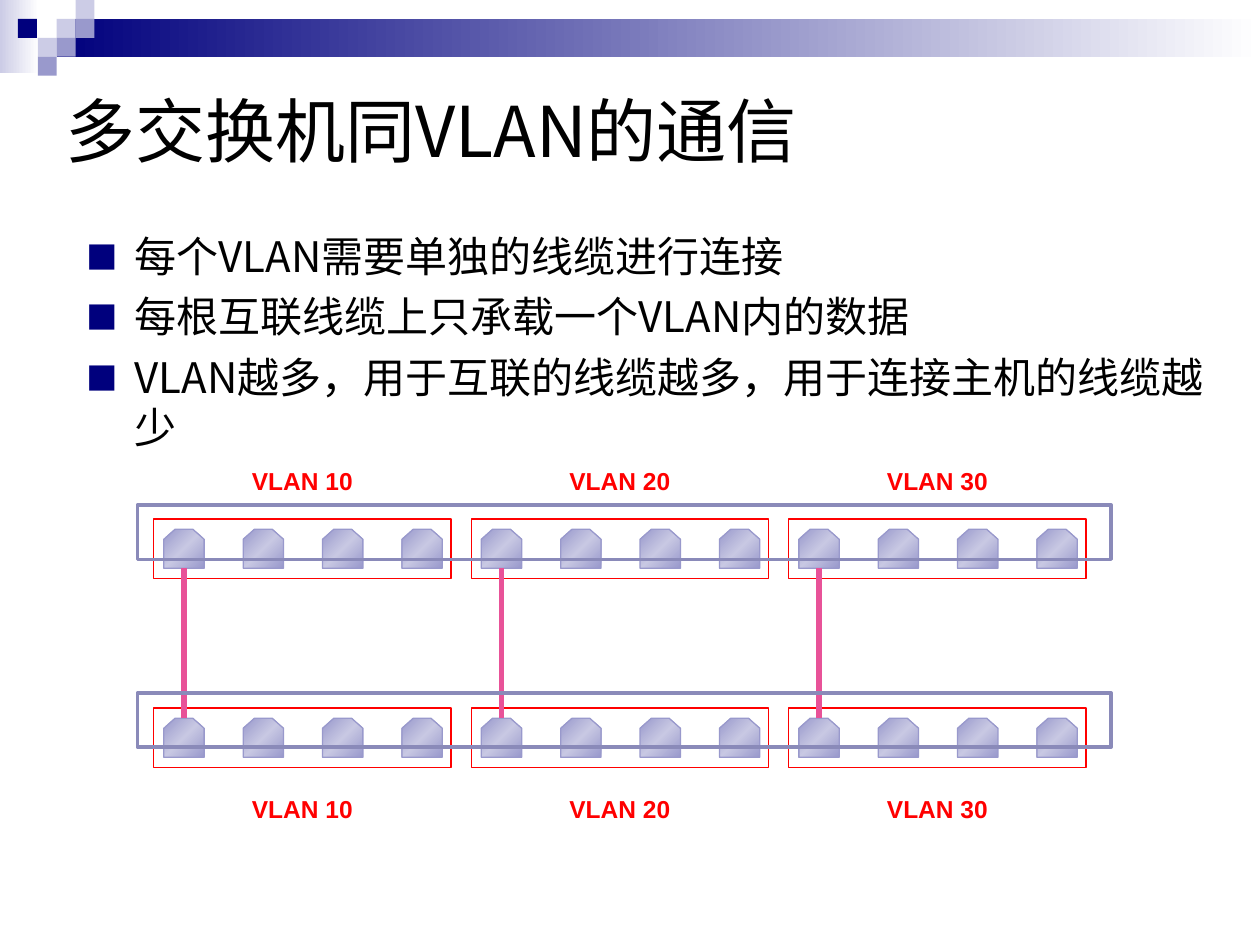
from dataclasses import dataclass

from lxml.etree import SubElement
from pptx import Presentation
from pptx.dml.color import RGBColor
from pptx.enum.shapes import MSO_CONNECTOR, MSO_SHAPE
from pptx.enum.text import MSO_ANCHOR, PP_ALIGN
from pptx.oxml.ns import qn
from pptx.util import Inches, Pt


@dataclass(frozen=True)
class Theme:
    """Colours, fonts and type sizes of the slide."""
    navy: str = "00007D"
    lilac: str = "9999CC"
    pale: str = "CCCCE6"
    sheen: str = "C8C8E3"
    white: str = "FFFFFF"
    black: str = "000000"
    red: str = "FF0000"
    pink: str = "E85298"
    frame: str = "8A8AB9"
    cjk: str = "Noto Sans CJK SC"
    latin: str = "Arial"
    title: int = 40
    body: int = 24
    label: int = 14


T = Theme()
CELL = 0.15
VLANS = ("VLAN 10", "VLAN 20", "VLAN 30")
PORTS = 4
PORT_STEP = 0.63
VLAN_STEP = PORTS * PORT_STEP
PORT_LEFT, PORT_W, PORT_H = 1.3, 0.32, 0.31
SWITCH_TOPS = (4.01, 5.5)
PORT_TOPS = (4.2, 5.7)
LABEL_TOPS = (3.65, 6.25)
BULLETS = (
    "每个VLAN需要单独的线缆进行连接",
    "每根互联线缆上只承载一个VLAN内的数据",
    "VLAN越多，用于互联的线缆越多，用于连接主机的线缆越少",
)


def write(p, text, size, font, color=T.black, bold=False, align=PP_ALIGN.LEFT):
    """Add one formatted run to a paragraph."""
    p.alignment = align
    r = p.add_run()
    r.text = text
    r.font.size, r.font.name, r.font.bold = Pt(size), font, bold
    r.font.color.rgb = RGBColor.from_string(color)
    SubElement(r._r.get_or_add_rPr(), qn("a:ea"), typeface=font)


def gradient(sp, colors, angle=0):
    """Fill a shape with evenly spaced colours, angle clockwise in degrees."""
    sp.fill.background()
    old = sp._element.spPr.find(qn("a:noFill"))
    grad = old.makeelement(qn("a:gradFill"), {"rotWithShape": "1"})
    stops = SubElement(grad, qn("a:gsLst"))
    for i, color in enumerate(colors):
        pos = str(100000 * i // (len(colors) - 1))
        SubElement(SubElement(stops, qn("a:gs"), pos=pos), qn("a:srgbClr"), val=color)
    SubElement(grad, qn("a:lin"), ang=str(angle * 60000), scaled="0")
    old.getparent().replace(old, grad)


def outline(sp, color, width):
    """Give a shape or connector a solid line."""
    sp.line.color.rgb = RGBColor.from_string(color)
    sp.line.width = Pt(width)


def rect(s, x, y, w, h, fill=None, line=None, width=0.75):
    """Add a rectangle with an optional solid fill and line."""
    sp = s.shapes.add_shape(MSO_SHAPE.RECTANGLE, *map(Inches, (x, y, w, h)))
    sp.shadow.inherit = False
    if fill:
        sp.fill.solid()
        sp.fill.fore_color.rgb = RGBColor.from_string(fill)
    else:
        sp.fill.background()
    if line:
        outline(sp, line, width)
    else:
        sp.line.fill.background()
    return sp


def header(s):
    """Draw the gradient band and the mosaic of squares."""
    gradient(rect(s, 0, 0, 0.31, 0.58), (T.pale, T.white))
    gradient(rect(s, 3 * CELL, CELL, 10 - 3 * CELL, 2 * CELL), (T.navy, T.white))
    squares = ((3, 1, T.pale), (4, 0, T.pale), (4, 1, T.lilac), (2, 2, T.pale),
               (0.95, 1, T.navy), (3, 2, T.lilac), (2, 3, T.lilac))
    for col, row, color in squares:
        rect(s, col * CELL, row * CELL, CELL, CELL, fill=color)


def title(s, text):
    """Place and fill the title placeholder."""
    sp = s.shapes.title
    sp.left, sp.top, sp.width, sp.height = map(Inches, (0.42, 0.28, 9, 1.5))
    sp.text_frame.vertical_anchor = MSO_ANCHOR.MIDDLE
    write(sp.text_frame.paragraphs[0], text, T.title, T.cjk)


def text_box(s, x, y, w, h):
    """Add a wrapping text box and return its text frame."""
    tf = s.shapes.add_textbox(*map(Inches, (x, y, w, h))).text_frame
    tf.word_wrap = True
    return tf


def bullets(s, items):
    """Add the list with square bullets."""
    tf = text_box(s, 0.59, 1.78, 9.07, 1.85)
    for i, item in enumerate(items):
        p = tf.add_paragraph() if i else tf.paragraphs[0]
        p.line_spacing = Pt(28.6)
        p.space_before = Pt(6 if i else 0)
        pPr = p._p.get_or_add_pPr()
        pPr.set("marL", str(Inches(0.38)))
        pPr.set("indent", str(-Inches(0.38)))
        SubElement(SubElement(pPr, qn("a:buClr")), qn("a:srgbClr"), val=T.navy)
        SubElement(pPr, qn("a:buSzPct"), val="75000")
        SubElement(pPr, qn("a:buFont"), typeface=T.cjk)
        SubElement(pPr, qn("a:buChar"), char="■")
        write(p, item, T.body, T.cjk)


def port(s, x, y):
    """Draw one switch port with cut upper corners."""
    cut_x, cut_y = 0.09, 0.08
    pts = [(x + cut_x, y), (x, y + cut_y), (x, y + PORT_H), (x + PORT_W, y + PORT_H),
           (x + PORT_W, y + cut_y), (x + PORT_W - cut_x, y)]
    start, *rest = [(Inches(a), Inches(b)) for a, b in pts]
    fb = s.shapes.build_freeform(*start)
    fb.add_line_segments(rest, close=True)
    sp = fb.convert_to_shape()
    sp.shadow.inherit = False
    gradient(sp, (T.lilac, T.sheen, T.lilac), 45)
    outline(sp, T.lilac, 0.75)


def vlan(s, name, x, port_top, label_top):
    """Draw a labelled VLAN group of ports."""
    tf = text_box(s, x + 0.55, label_top, 1.1, 0.34)
    write(tf.paragraphs[0], name, T.label, T.latin, color=T.red, bold=True,
          align=PP_ALIGN.CENTER)
    for i in range(PORTS):
        port(s, x + i * PORT_STEP, port_top)
    rect(s, x - 0.08, port_top - 0.08, 2.36, 0.47, line=T.red)


def cable(s, x):
    """Join the first ports of a VLAN on both switches."""
    ends = (x, PORT_TOPS[0] + PORT_H, x, PORT_TOPS[1])
    c = s.shapes.add_connector(MSO_CONNECTOR.STRAIGHT, *map(Inches, ends))
    outline(c, T.pink, 3)
    SubElement(c._element.spPr, qn("a:effectLst"))


def main():
    """Build and save the slide."""
    prs = Presentation()
    prs.slide_width, prs.slide_height = Inches(10), Inches(7.5)
    s = prs.slides.add_slide(prs.slide_layouts[5])
    header(s)
    title(s, "多交换机同VLAN的通信")
    bullets(s, BULLETS)
    lefts = [PORT_LEFT + i * VLAN_STEP for i in range(len(VLANS))]
    for port_top, label_top in zip(PORT_TOPS, LABEL_TOPS):
        for name, x in zip(VLANS, lefts):
            vlan(s, name, x, port_top, label_top)
    for x in lefts:
        cable(s, x + PORT_W / 2)
    for top in SWITCH_TOPS:
        rect(s, 1.09, top, 7.73, 0.43, line=T.frame, width=2)
    prs.save("out.pptx")


if __name__ == "__main__":
    main()
